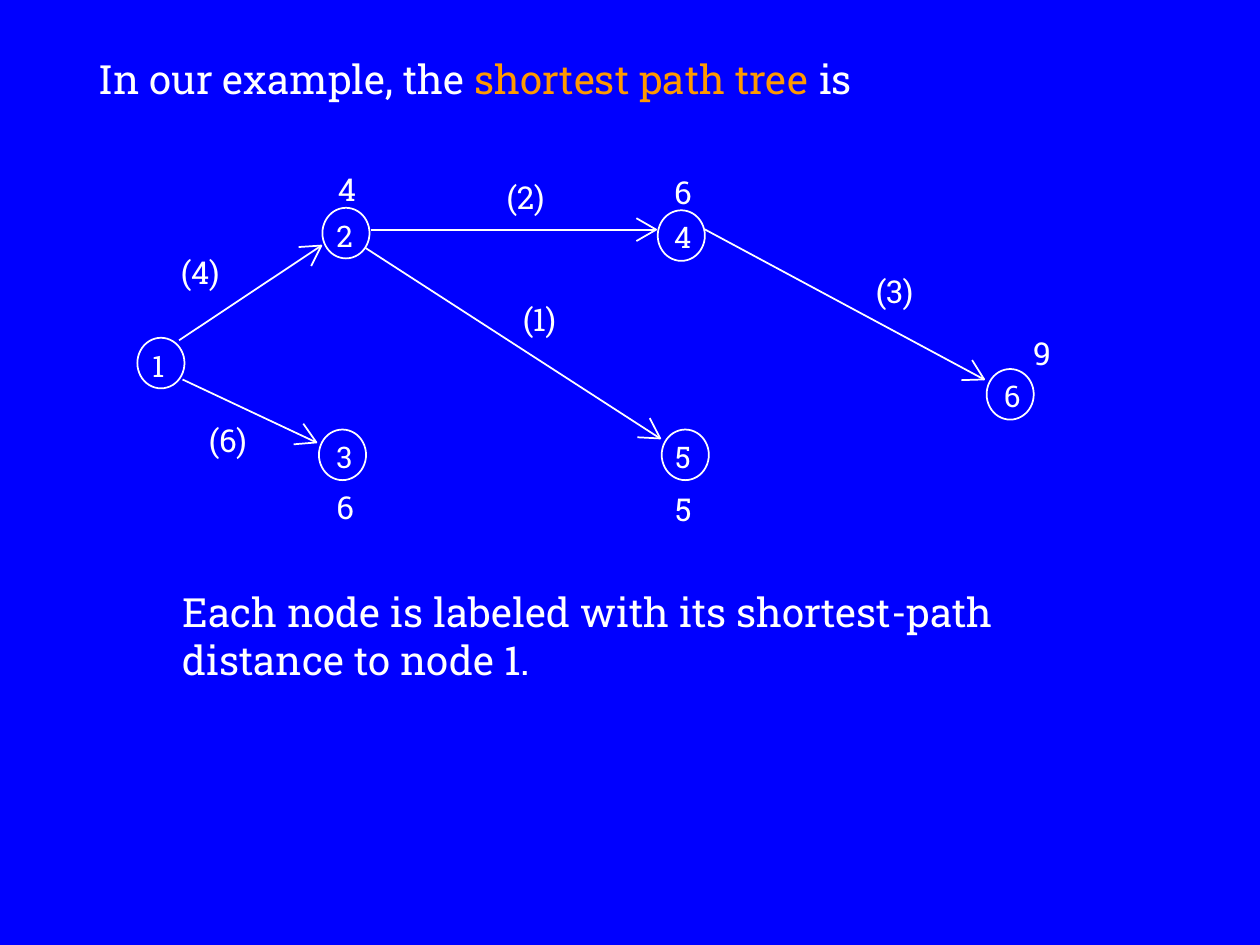
from math import hypot

from lxml import etree
from pptx import Presentation
from pptx.dml.color import RGBColor
from pptx.enum import shapes, text
from pptx.oxml.ns import qn
from pptx.util import Cm, Pt

BLUE = RGBColor(0x00, 0x00, 0xFF)
WHITE = RGBColor(0xFF, 0xFF, 0xFF)
ORANGE = RGBColor(0xFF, 0x99, 0x00)
FONT = "Roboto Slab"

NODES = [
    ("1", (2.77, 6.81), (3.07, 7.01)),
    ("2", (6.5, 4.19), (6.78, 4.39)),
    ("3", (6.43, 8.66), (6.78, 8.84)),
    ("4", (13.26, 4.24), (13.59, 4.42)),
    ("5", (13.34, 8.66), (13.61, 8.84)),
    ("6", (19.89, 7.44), (20.24, 7.62)),
]
COSTS = [
    ("4", (6.81, 3.43)),
    ("6", (6.78, 9.83)),
    ("6", (13.59, 3.48)),
    ("5", (13.61, 9.88)),
    ("9", (20.83, 6.73)),
]
EDGES = [
    ("(6)", (3.68, 7.65), (6.38, 8.92), (3.91, 8.36)),
    ("(4)", (3.61, 6.86), (6.48, 4.95), (3.35, 4.98)),
    ("(2)", (7.47, 4.63), (13.23, 4.63), (9.91, 3.45)),
    ("(1)", (7.37, 5.0), (13.31, 8.84), (10.19, 5.92)),
    ("(3)", (14.2, 4.62), (19.84, 7.65), (17.35, 5.36)),
]


def add_text(slide, parts, at, size, pts, wrap=False, pad=(0, 0), align=None):
    box = slide.shapes.add_textbox(*map(Cm, at + size))
    frame = box.text_frame
    frame.word_wrap = wrap
    frame.auto_size = text.MSO_AUTO_SIZE.SHAPE_TO_FIT_TEXT
    frame.margin_left = frame.margin_right = Cm(pad[0])
    frame.margin_top = frame.margin_bottom = Cm(pad[1])
    para = frame.paragraphs[0]
    para.alignment = align
    for words, color in parts:
        run = para.add_run()
        run.text = words
        run.font.name = FONT
        run.font.size = Pt(pts)
        run.font.color.rgb = color


def set_line(shape):
    shape.line.color.rgb = WHITE
    shape.line.width = Pt(1)


def add_ring(slide, at):
    ring = slide.shapes.add_shape(
        shapes.MSO_SHAPE.OVAL, *map(Cm, at + (0.95, 1.02)))
    ring.shadow.inherit = False
    ring.fill.solid()
    ring.fill.fore_color.rgb = BLUE
    set_line(ring)


def add_head(slide, start, end, back=0.4, half=0.23):
    (x1, y1), (x2, y2) = start, end
    span = hypot(x2 - x1, y2 - y1)
    dx, dy = (x2 - x1) / span, (y2 - y1) / span
    bx, by = x2 - back * dx, y2 - back * dy
    pen = slide.shapes.build_freeform(Cm(bx - half * dy), Cm(by + half * dx))
    pen.add_line_segments(
        [(Cm(x2), Cm(y2)), (Cm(bx + half * dy), Cm(by - half * dx))],
        close=False)
    head = pen.convert_to_shape()
    head.shadow.inherit = False
    head.fill.background()
    set_line(head)


def add_edge(slide, start, end):
    line = slide.shapes.add_connector(
        shapes.MSO_CONNECTOR.STRAIGHT, *map(Cm, start + end))
    set_line(line)
    etree.SubElement(line._element.spPr, qn("a:effectLst"))
    add_head(slide, start, end)


def main():
    deck = Presentation()
    deck.slide_width, deck.slide_height = Cm(25.4), Cm(19.05)
    slide = deck.slides.add_slide(deck.slide_layouts[6])
    slide.background.fill.solid()
    slide.background.fill.fore_color.rgb = BLUE

    title = [("In our example, the ", WHITE),
             ("shortest path tree", ORANGE), (" is", WHITE)]
    add_text(slide, title, (1.98, 1.09), (16.05, 0.97), 23)
    note = "Each node is labeled with its shortest-path distance to node 1."
    add_text(slide, [(note, WHITE)], (3.68, 11.84), (17.55, 1.96), 23,
             wrap=True)

    for name, ring, spot in NODES:
        add_ring(slide, ring)
        add_text(slide, [(name, WHITE)], spot, (0.38, 0.71), 17)
    for cost, spot in COSTS:
        add_text(slide, [(cost, WHITE)], spot, (0.41, 0.76), 18)
    for weight, start, end, spot in EDGES:
        add_edge(slide, start, end)
        add_text(slide, [(weight, WHITE)], spot, (1.37, 1.02), 18, wrap=True,
                 pad=(0.25, 0.13), align=text.PP_ALIGN.CENTER)

    deck.save("out.pptx")


if __name__ == "__main__":
    main()
